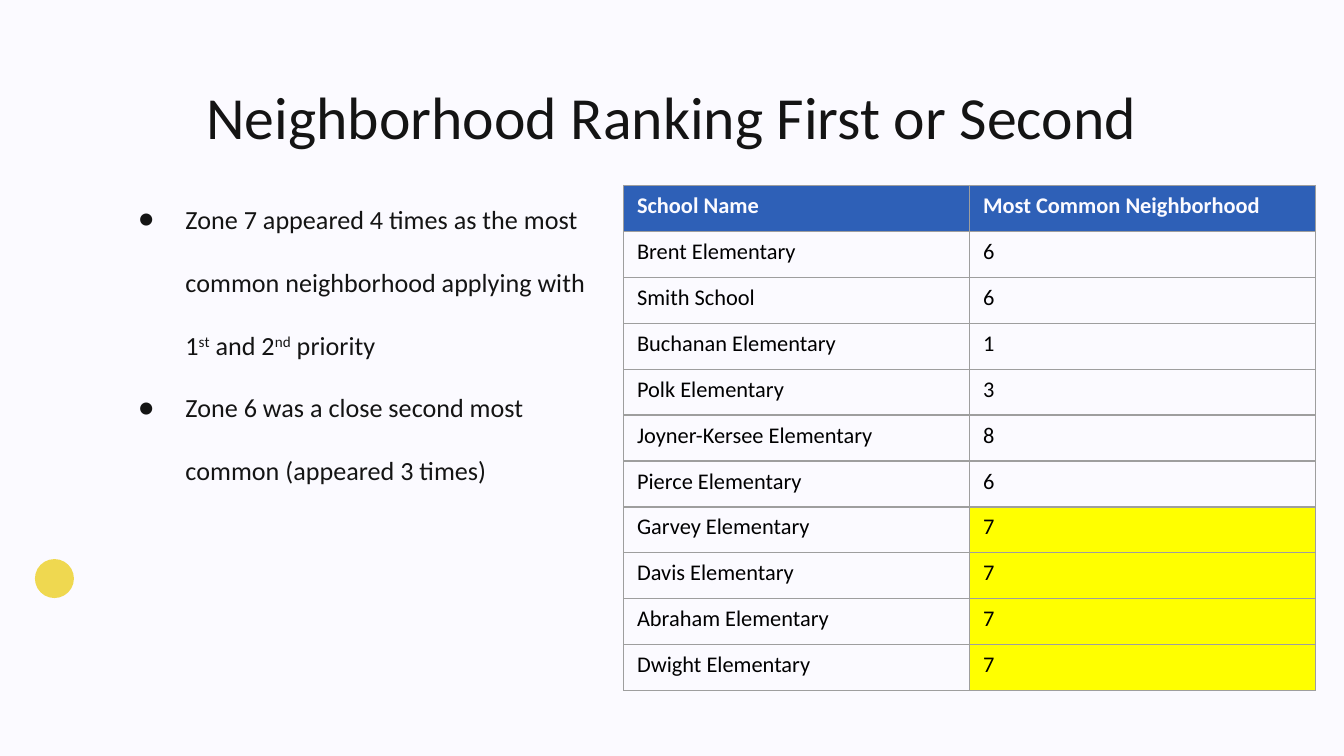
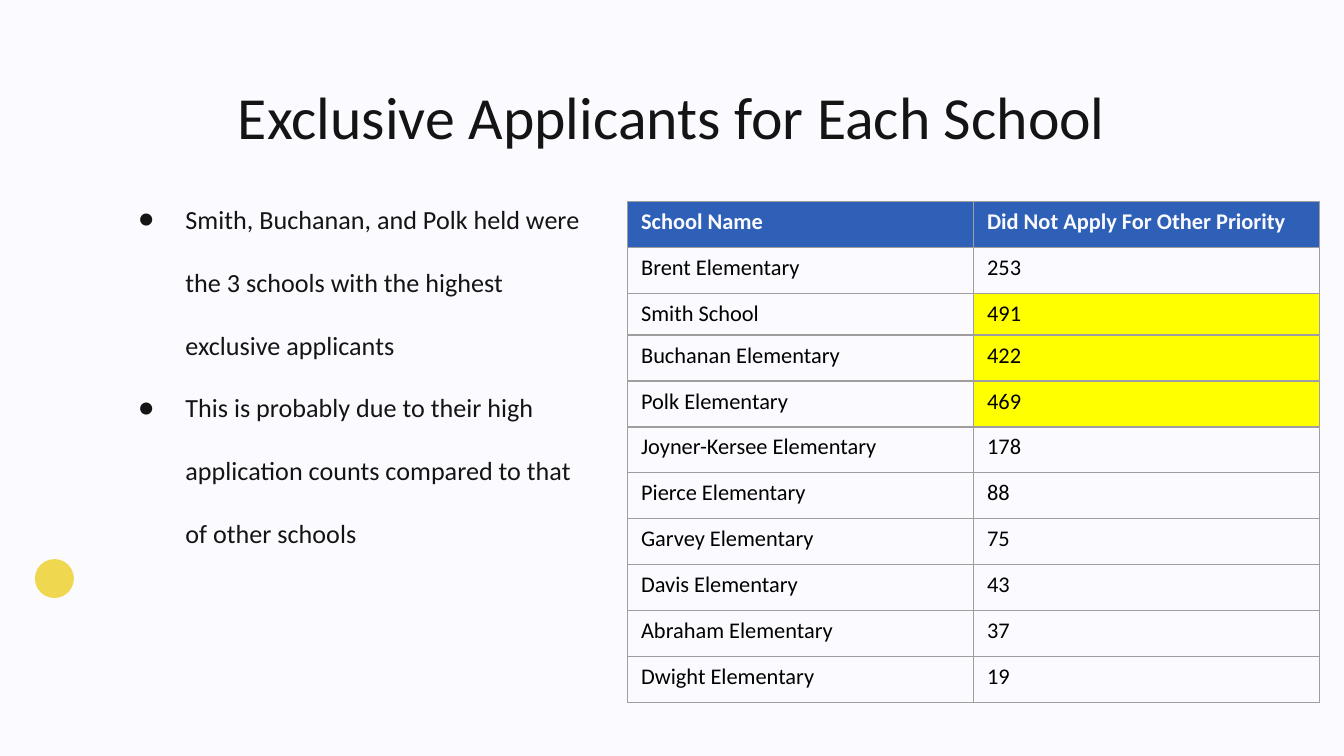
from lxml.etree import SubElement
from pptx import Presentation
from pptx.dml.color import RGBColor
from pptx.enum.shapes import MSO_SHAPE
from pptx.enum.text import MSO_ANCHOR, MSO_AUTO_SIZE, PP_ALIGN
from pptx.oxml.ns import qn
from pptx.util import Inches, Pt

FONT = "Calibri"
BACKGROUND = RGBColor(0xFB, 0xFA, 0xFF)
INK = RGBColor(0x14, 0x14, 0x14)
BLACK = RGBColor(0x00, 0x00, 0x00)
ACCENT = RGBColor(0xEF, 0xD8, 0x50)
HEADER = RGBColor(0x2E, 0x60, 0xB7)
HIGHLIGHT = RGBColor(0xFF, 0xFF, 0x00)
BORDER = RGBColor(0x9E, 0x9E, 0x9E)

SCHOOLS = [
    "Brent Elementary",
    "Smith School",
    "Buchanan Elementary",
    "Polk Elementary",
    "Joyner-Kersee Elementary",
    "Pierce Elementary",
    "Garvey Elementary",
    "Davis Elementary",
    "Abraham Elementary",
    "Dwight Elementary",
]

TABLE_WIDTH = 5.15
COLUMN_WIDTH = TABLE_WIDTH / 2
ROW_HEIGHT = 3.76 / (len(SCHOOLS) + 1)

SLIDES = [
    {
        "title": "Neighborhood Ranking First or Second",
        "bullets": [
            [
                ("Zone 7 appeared 4 times as the most common neighborhood applying with 1", False),
                ("st", True),
                (" and 2", False),
                ("nd", True),
                (" priority", False),
            ],
            [("Zone 6 was a close second most common (appeared 3 times)", False)],
        ],
        "measure": "Most Common Neighborhood",
        "values": [6, 6, 1, 3, 8, 6, 7, 7, 7, 7],
        "highlighted": ["Garvey Elementary", "Davis Elementary", "Abraham Elementary", "Dwight Elementary"],
        "table_position": (4.64, 1.38),
        "row_heights": {},
    },
    {
        "title": "Exclusive Applicants for Each School",
        "bullets": [
            [("Smith, Buchanan, and Polk held were the 3 schools with the highest exclusive applicants", False)],
            [("This is probably due to their high application counts compared to that of other schools", False)],
        ],
        "measure": "Did Not Apply For Other Priority",
        "values": [253, 491, 422, 469, 178, 88, 75, 43, 37, 19],
        "highlighted": ["Smith School", "Buchanan Elementary", "Polk Elementary"],
        "table_position": (4.67, 1.5),
        "row_heights": {"Smith School": 0.31},
    },
]


def format_run(run, size, color, bold=False):
    run.font.name = FONT
    run.font.size = Pt(size)
    run.font.color.rgb = color
    run.font.bold = bold


def place_text(shape, left, top, width, height):
    shape.left, shape.top = Inches(left), Inches(top)
    shape.width, shape.height = Inches(width), Inches(height)
    frame = shape.text_frame
    frame.word_wrap = True
    frame.auto_size = MSO_AUTO_SIZE.NONE
    frame.vertical_anchor = MSO_ANCHOR.TOP
    frame.margin_left = frame.margin_right = Inches(0.1)
    frame.margin_top = frame.margin_bottom = Inches(0.1)
    return frame


def add_title(slide, title):
    frame = place_text(slide.shapes.title, 0.78, 0.49, 8.44, 0.63)
    frame.text = title
    paragraph = frame.paragraphs[0]
    paragraph.alignment = PP_ALIGN.CENTER
    format_run(paragraph.runs[0], 32, INK)


def set_bullet(paragraph):
    properties = paragraph._p.get_or_add_pPr()
    properties.set("marL", str(Inches(0.5)))
    properties.set("indent", str(Inches(-0.35)))
    color = SubElement(properties, qn("a:buClr"))
    SubElement(color, qn("a:srgbClr"), val=str(INK))
    SubElement(properties, qn("a:buFont"), typeface=FONT)
    SubElement(properties, qn("a:buChar"), char="●")


def add_bullets(slide, bullets):
    frame = place_text(slide.placeholders[1], 0.78, 1.18, 3.73, 3.27)
    for index, segments in enumerate(bullets):
        paragraph = frame.add_paragraph() if index else frame.paragraphs[0]
        paragraph.alignment = PP_ALIGN.LEFT
        paragraph.line_spacing = 2.0
        paragraph.space_before = paragraph.space_after = Pt(0)
        set_bullet(paragraph)
        for text, raised in segments:
            run = paragraph.add_run()
            run.text = text
            format_run(run, 14, INK)
            if raised:
                run.font._element.set("baseline", "30000")


def add_dot(slide):
    dot = slide.shapes.add_shape(MSO_SHAPE.OVAL, Inches(0.26), Inches(4.16), Inches(0.29), Inches(0.29))
    dot.shadow.inherit = False
    dot.fill.solid()
    dot.fill.fore_color.rgb = ACCENT
    dot.line.fill.background()


def set_borders(cell):
    properties = cell._tc.get_or_add_tcPr()
    for side in ("L", "R", "T", "B"):
        line = SubElement(properties, qn(f"a:ln{side}"), w=str(Pt(0.75)))
        fill = SubElement(line, qn("a:solidFill"))
        SubElement(fill, qn("a:srgbClr"), val=str(BORDER))


def fill_cell(cell, text, fill, color, bold):
    cell.margin_left = cell.margin_right = Inches(0.1)
    cell.margin_top = cell.margin_bottom = Inches(0.05)
    cell.vertical_anchor = MSO_ANCHOR.TOP
    cell.text_frame.text = text
    format_run(cell.text_frame.paragraphs[0].runs[0], 12, color, bold)
    set_borders(cell)
    if fill is None:
        cell.fill.background()
    else:
        cell.fill.solid()
        cell.fill.fore_color.rgb = fill


def add_school_table(slide, content):
    rows = [("School Name", content["measure"]), *zip(SCHOOLS, content["values"])]
    heights = [content["row_heights"].get(name, ROW_HEIGHT) for name, value in rows]
    left, top = content["table_position"]
    table = slide.shapes.add_table(
        len(rows), 2, Inches(left), Inches(top), Inches(TABLE_WIDTH), Inches(sum(heights))
    ).table
    table.horz_banding = False
    for column in table.columns:
        column.width = Inches(COLUMN_WIDTH)
    for row_index, (name, value) in enumerate(rows):
        table.rows[row_index].height = Inches(heights[row_index])
        is_header = row_index == 0
        name_fill = HEADER if is_header else None
        value_fill = HIGHLIGHT if name in content["highlighted"] else name_fill
        color = BACKGROUND if is_header else BLACK
        fill_cell(table.cell(row_index, 0), name, name_fill, color, is_header)
        fill_cell(table.cell(row_index, 1), str(value), value_fill, color, is_header)


def main():
    presentation = Presentation()
    presentation.slide_width = Inches(10)
    presentation.slide_height = presentation.slide_width * 9 // 16
    background = presentation.slide_master.background.fill
    background.solid()
    background.fore_color.rgb = BACKGROUND
    for content in SLIDES:
        slide = presentation.slides.add_slide(presentation.slide_layouts[1])
        add_dot(slide)
        add_title(slide, content["title"])
        add_bullets(slide, content["bullets"])
        add_school_table(slide, content)
    presentation.save("out.pptx")


if __name__ == "__main__":
    main()
